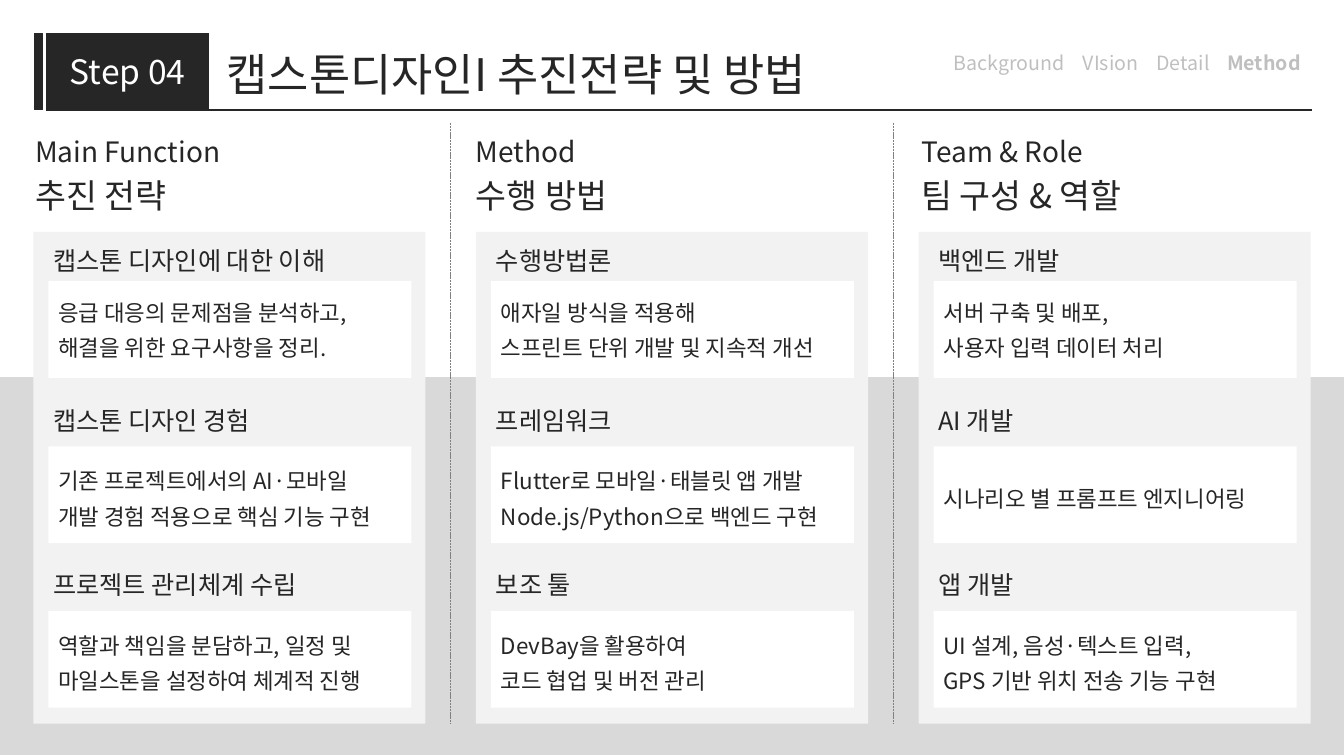
from dataclasses import dataclass

from lxml import etree
from pptx import Presentation
from pptx.dml.color import RGBColor
from pptx.enum import dml, shapes, text
from pptx.oxml.ns import qn
from pptx.util import Inches, Pt


@dataclass(frozen=True)
class Theme:
    font: str = "Noto Sans CJK KR"
    ink: str = "262626"
    white: str = "FFFFFF"
    band: str = "D9D9D9"
    panel: str = "F2F2F2"
    muted: str = "BFBFBF"
    divider: str = "808080"
    title: int = 32
    step: int = 24
    heading: int = 24
    heading_en: int = 20
    label: int = 18
    body: int = 16
    nav: int = 14


class Deck:
    def __init__(self, theme):
        self.t = theme
        self.prs = Presentation()
        self.prs.slide_width, self.prs.slide_height = Inches(13.33), Inches(7.5)
        self.s = self.prs.slides.add_slide(self.prs.slide_layouts[6])

    def rect(self, x, y, w, h, fill, line=None):
        sp = self.s.shapes.add_shape(shapes.MSO_SHAPE.RECTANGLE,
                                     Inches(x), Inches(y), Inches(w), Inches(h))
        sp.shadow.inherit = False
        sp.fill.solid()
        sp.fill.fore_color.rgb = RGBColor.from_string(fill)
        if line:
            sp.line.color.rgb = RGBColor.from_string(line)
            sp.line.width = Pt(1)
        else:
            sp.line.fill.background()
        return sp

    def line(self, x1, y1, x2, y2, color, width, dash=None):
        c = self.s.shapes.add_connector(shapes.MSO_CONNECTOR.STRAIGHT,
                                        Inches(x1), Inches(y1), Inches(x2), Inches(y2))
        c.line.color.rgb = RGBColor.from_string(color)
        c.line.width = Pt(width)
        if dash:
            c.line.dash_style = dash
        etree.SubElement(c.element.spPr, qn("a:effectLst"))

    def run(self, p, words, size, color, bold=None):
        r = p.add_run()
        r.text = words
        r.font.size, r.font.bold = Pt(size), bold
        r.font.color.rgb = RGBColor.from_string(color)
        r.font.name = self.t.font
        ea = etree.SubElement(r.font._element, qn("a:ea"))
        ea.set("typeface", self.t.font)

    def text(self, x, y, w, h, lines, size):
        """Add a middle-anchored text box with one paragraph per line."""
        tf = self.s.shapes.add_textbox(Inches(x), Inches(y), Inches(w), Inches(h)).text_frame
        tf.word_wrap = True
        tf.vertical_anchor = text.MSO_ANCHOR.MIDDLE
        for i, words in enumerate(lines):
            p = tf.paragraphs[0] if i == 0 else tf.add_paragraph()
            if i:
                p.space_before = Pt(6)
            self.run(p, words, size, self.t.ink)
        return tf

    def nav(self, x, y, w, h, inset, items, stops):
        """Add a row of section names at tab stops, the last one bold."""
        tf = self.text(x, y, w, h, [], self.t.nav)
        tf.margin_left, tf.margin_right = Inches(inset), 0
        p = tf.paragraphs[0]
        tabs = etree.SubElement(p._p.get_or_add_pPr(), qn("a:tabLst"))
        for stop in stops:
            etree.SubElement(tabs, qn("a:tab"), pos=str(Inches(stop)), algn="l")
        self.run(p, "\t".join(items[:-1]) + "\t", self.t.nav, self.t.muted)
        self.run(p, items[-1], self.t.nav, self.t.muted, True)


COLUMNS = [
    (0.25, "Main Function", "추진 전략", [
        ("캡스톤 디자인에 대한 이해", ["응급 대응의 문제점을 분석하고,", "해결을 위한 요구사항을 정리."]),
        ("캡스톤 디자인 경험", ["기존 프로젝트에서의 AI·모바일", "개발 경험 적용으로 핵심 기능 구현"]),
        ("프로젝트 관리체계 수립", ["역할과 책임을 분담하고, 일정 및", "마일스톤을 설정하여 체계적 진행"]),
    ]),
    (4.62, "Method", "수행 방법", [
        ("수행방법론", ["애자일 방식을 적용해", "스프린트 단위 개발 및 지속적 개선"]),
        ("프레임워크", ["Flutter로 모바일·태블릿 앱 개발", "Node.js/Python으로 백엔드 구현"]),
        ("보조 툴", ["DevBay을 활용하여", "코드 협업 및 버전 관리"]),
    ]),
    (9.04, "Team & Role", "팀 구성 & 역할", [
        ("백엔드 개발", ["서버 구축 및 배포,", "사용자 입력 데이터 처리"]),
        ("AI 개발", ["시나리오 별 프롬프트 엔지니어링"]),
        ("앱 개발", ["UI 설계, 음성·텍스트 입력,", "GPS 기반 위치 전송 기능 구현"]),
    ]),
]
ROWS = [(2.33, 2.79, 3.0), (3.92, 4.43, 4.67), (5.55, 6.06, 6.3)]  # label, card, body tops
LEFT, PITCH = 0.33, 4.39


def header(d):
    t = d.t
    sp = d.rect(0.46, 0.33, 1.61, 0.76, t.ink, t.ink)
    tf = sp.text_frame
    tf.word_wrap = False
    tf.vertical_anchor = text.MSO_ANCHOR.MIDDLE
    p = tf.paragraphs[0]
    p.alignment = text.PP_ALIGN.CENTER
    d.run(p, "Step 04", t.step, t.white)
    d.rect(0.34, 0.33, 0.08, 0.76, t.ink, t.ink)
    d.text(2.15, 0.35, 6.71, 0.76, ["캡스톤디자인I 추진전략 및 방법"], t.title)
    d.line(0.46, 1.09, 13.01, 1.09, t.ink, 1)
    d.nav(5.81, 0.47, 7.19, 0.3, 3.65,
          ["Background", "VIsion", "Detail", "Method"], [1.28, 2.01, 2.71])


def column(d, x, heading_x, english, korean, topics):
    t = d.t
    d.rect(x, 2.3, 3.89, 4.88, t.panel)
    d.text(heading_x, 1.29, 3.72, 0.43, [english], t.heading_en)
    d.text(heading_x, 1.72, 3.72, 0.43, [korean], t.heading)
    for (label_y, card_y, body_y), (label, lines) in zip(ROWS, topics):
        d.rect(x + 0.15, card_y, 3.6, 0.96, t.white)
        d.text(x + 0.15, body_y, 3.6, 0.55, lines, t.body)
        d.text(x + 0.1, label_y, 3.65, 0.5, [label], t.label)


def main():
    d = Deck(Theme())
    d.rect(0, 3.74, 13.33, 3.75, d.t.band)
    header(d)
    for i, content in enumerate(COLUMNS):
        x = LEFT + i * PITCH
        column(d, x, *content)
        if i:
            d.line(x - 0.25, 1.22, x - 0.25, 7.18, d.t.divider, 0.5,
                   dml.MSO_LINE.SQUARE_DOT)
    d.prs.save("out.pptx")


if __name__ == "__main__":
    main()
